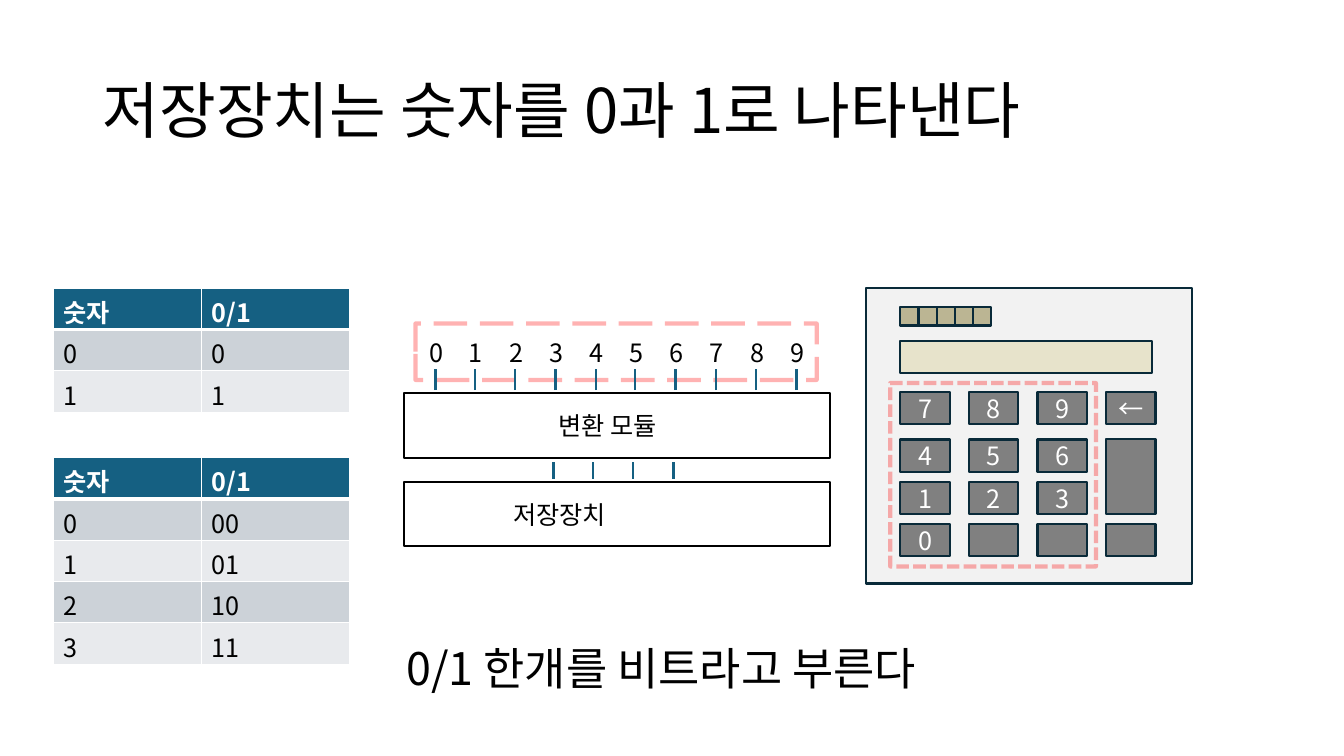
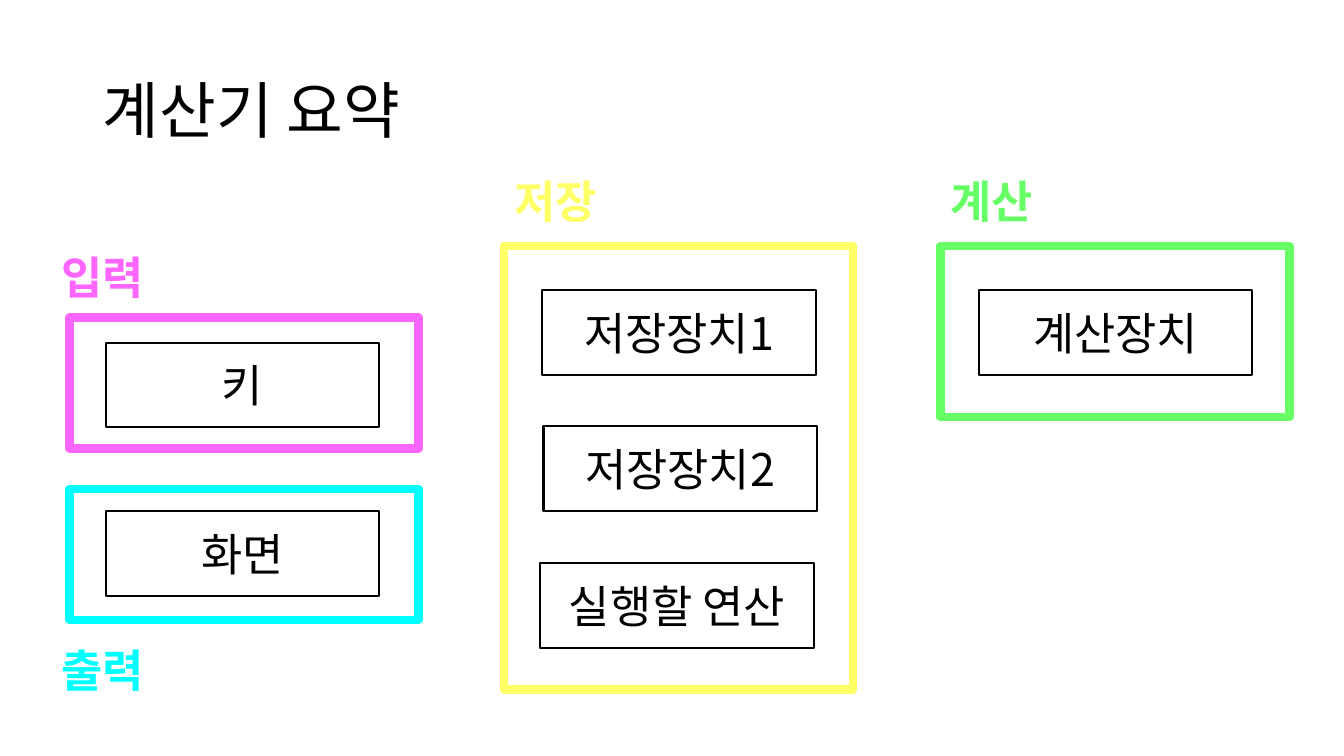
from lxml import etree
from pptx import Presentation
from pptx import util as u
from pptx.dml.color import RGBColor
from pptx.enum import dml, shapes, text
from pptx.oxml import ns

PX = 9144
FONT = "Noto Sans CJK KR"
BLACK = RGBColor(0x00, 0x00, 0x00)
WHITE = RGBColor(0xFF, 0xFF, 0xFF)
NAVY = RGBColor(0x09, 0x2A, 0x39)
TEAL = RGBColor(0x15, 0x60, 0x82)
RED = RGBColor(0xFF, 0x00, 0x00)
CASE = RGBColor(0xF2, 0xF2, 0xF2)
KEY = RGBColor(0x80, 0x80, 0x80)
SCREEN = RGBColor(0xE7, 0xE3, 0xCB)
SOLAR = RGBColor(0xBB, 0xB5, 0x93)
ROW_BANDS = (RGBColor(0xCC, 0xD2, 0xD8), RGBColor(0xE8, 0xEA, 0xED))
INPUT = RGBColor(0xFF, 0x66, 0xFF)
OUTPUT = RGBColor(0x00, 0xFF, 0xFF)
STORAGE = RGBColor(0xFF, 0xFF, 0x66)
COMPUTE = RGBColor(0x66, 0xFF, 0x66)

LEFT = text.PP_ALIGN.LEFT
CENTER = text.PP_ALIGN.CENTER
TOP = text.MSO_ANCHOR.TOP
MIDDLE = text.MSO_ANCHOR.MIDDLE


def px(*lengths):
    return [u.Emu(length * PX) for length in lengths]


def digit_offset(index):
    return 358 * index // 9


def write(frame, content, size=18, color=BLACK, bold=False, align=LEFT):
    paragraph = frame.paragraphs[0]
    paragraph.alignment = align
    run = paragraph.add_run()
    run.text = content
    run.font.name = FONT
    run.font.size = u.Pt(size)
    run.font.bold = bold
    run.font.color.rgb = color
    properties = run.font._element
    for script in ("a:ea", "a:cs"):
        etree.SubElement(properties, ns.qn(script), typeface=FONT)
    return paragraph


def new_slide(deck, title, title_width):
    slide = deck.slides.add_slide(deck.slide_layouts[5])
    heading = slide.shapes.title
    heading.left, heading.top, heading.width, heading.height = px(
        92, 40, title_width, 145)
    frame = heading.text_frame
    frame.auto_size = text.MSO_AUTO_SIZE.NONE
    frame.vertical_anchor = MIDDLE
    write(frame, title, size=44).line_spacing = 0.9
    return slide


def add_box(slide, at, line, weight=1.5, fill=None, label=None, inset=10,
            **label_format):
    box = slide.shapes.add_shape(shapes.MSO_SHAPE.RECTANGLE, *px(*at))
    box.shadow.inherit = False
    if fill is None:
        box.fill.background()
    else:
        box.fill.solid()
        box.fill.fore_color.rgb = fill
    box.line.color.rgb = line
    box.line.width = u.Pt(weight)
    if label:
        frame = box.text_frame
        frame.word_wrap = True
        frame.vertical_anchor = MIDDLE
        frame.margin_left = px(inset)[0]
        write(frame, label, **label_format)
    return box


def add_highlight(slide, at, dash):
    highlight = add_box(slide, at, RED, weight=3)
    highlight.line.dash_style = dash
    red = highlight.line._ln.find(".//" + ns.qn("a:srgbClr"))
    etree.SubElement(red, ns.qn("a:alpha"), val="30000")
    return highlight


def add_label(slide, at, content, **label_format):
    frame = slide.shapes.add_textbox(*px(*at)).text_frame
    frame.word_wrap = True
    frame.vertical_anchor = TOP
    write(frame, content, **label_format)


def add_wire(slide, x, top, bottom):
    wire = slide.shapes.add_connector(
        shapes.MSO_CONNECTOR.STRAIGHT, *px(x, bottom, x, top))
    wire.line.color.rgb = TEAL
    wire.line.width = u.Pt(1.5)
    etree.SubElement(wire._element.spPr, ns.qn("a:effectLst"))


def add_border(cell, side, weight):
    border = etree.SubElement(cell._tc.get_or_add_tcPr(), ns.qn("a:ln" + side),
                              w=str(u.Pt(weight)))
    solid = etree.SubElement(border, ns.qn("a:solidFill"))
    etree.SubElement(solid, ns.qn("a:srgbClr"), val=str(WHITE))


def add_code_table(slide, top, codes):
    rows = [("숫자", "0/1")] + [(str(n), code) for n, code in enumerate(codes)]
    table = slide.shapes.add_table(
        len(rows), 2, *px(53, top, 294, 41 * len(rows))).table
    for r, row in enumerate(rows):
        header = r == 0
        for c, content in enumerate(row):
            cell = table.cell(r, c)
            add_border(cell, "L", 1)
            add_border(cell, "R", 1)
            add_border(cell, "T", 3 if r == 1 else 1)
            add_border(cell, "B", 3 if header else 1)
            cell.fill.solid()
            cell.fill.fore_color.rgb = TEAL if header else ROW_BANDS[(r - 1) % 2]
            write(cell.text_frame, content, bold=header,
                  color=WHITE if header else BLACK)


def add_calculator(slide):
    add_box(slide, (859, 286, 323, 293), NAVY, fill=CASE)
    key_rows = ((389, ("7", "8", "9", "←")), (436, ("4", "5", "6")),
                (478, ("1", "2", "3")), (520, ("0", "", "", "")))
    for top, labels in key_rows:
        for column, label in enumerate(labels):
            add_box(slide, (893 + 68 * column, top, 49, 32), NAVY, fill=KEY,
                    label=label, color=WHITE, align=CENTER)
    add_box(slide, (1097, 436, 49, 74), NAVY, fill=KEY)
    add_box(slide, (893, 338, 250, 32), NAVY, fill=SCREEN)
    for panel in range(5):
        add_box(slide, (893 + 18 * panel, 305, 18, 18), NAVY, fill=SOLAR)
    add_highlight(slide, (883, 380, 204, 182), dml.MSO_LINE.SQUARE_DOT)


def add_converter(slide):
    digits = add_highlight(slide, (583, 150, 56, 398), dml.MSO_LINE.LONG_DASH)
    digits.rotation = 90
    add_box(slide, (401, 390, 422, 64), BLACK, label="변환 모듈", inset=153)
    add_box(slide, (401, 478, 422, 64), BLACK, label="저장장치", inset=108)
    for digit in range(10):
        add_wire(slide, 432 + digit_offset(digit), 366, 387)
        add_label(slide, (416 + digit_offset(digit), 330, 32, 40), str(digit))
    for bit in range(4):
        add_wire(slide, 549 + digit_offset(bit), 458, 475)


def build_bits(deck):
    slide = new_slide(deck, "저장장치는 숫자를 0과 1로 나타낸다", 1231)
    add_calculator(slide)
    add_converter(slide)
    add_code_table(slide, 286, ("0", "1"))
    add_code_table(slide, 454, ("00", "01", "10", "11"))
    add_label(slide, (393, 631, 605, 64), "0/1 한개를 비트라고 부른다", size=32)


def build_summary(deck):
    slide = new_slide(deck, "계산기 요약", 1150)
    parts = ((538, 288, "저장장치1"), (539, 423, "저장장치2"),
             (536, 559, "실행할 연산"), (105, 340, "키"),
             (105, 507, "화면"), (971, 288, "계산장치"))
    for left, top, part in parts:
        add_box(slide, (left, top, 271, 84), BLACK, label=part, size=32,
                align=CENTER)
    roles = (("입력", INPUT, (69, 315, 130), (51, 243)),
             ("출력", OUTPUT, (69, 485, 130), (51, 633)),
             ("저장", STORAGE, (500, 244, 440), (500, 167)),
             ("계산", COMPUTE, (933, 244, 170), (933, 167)))
    for role, color, (left, top, height), name_at in roles:
        add_box(slide, (left, top, 346, height), color, weight=6)
        add_label(slide, (*name_at, 114, 64), role, size=32, color=color,
                  bold=True)


def main():
    deck = Presentation()
    deck.slide_width, deck.slide_height = px(1333, 750)
    build_bits(deck)
    build_summary(deck)
    deck.save("out.pptx")


if __name__ == "__main__":
    main()
